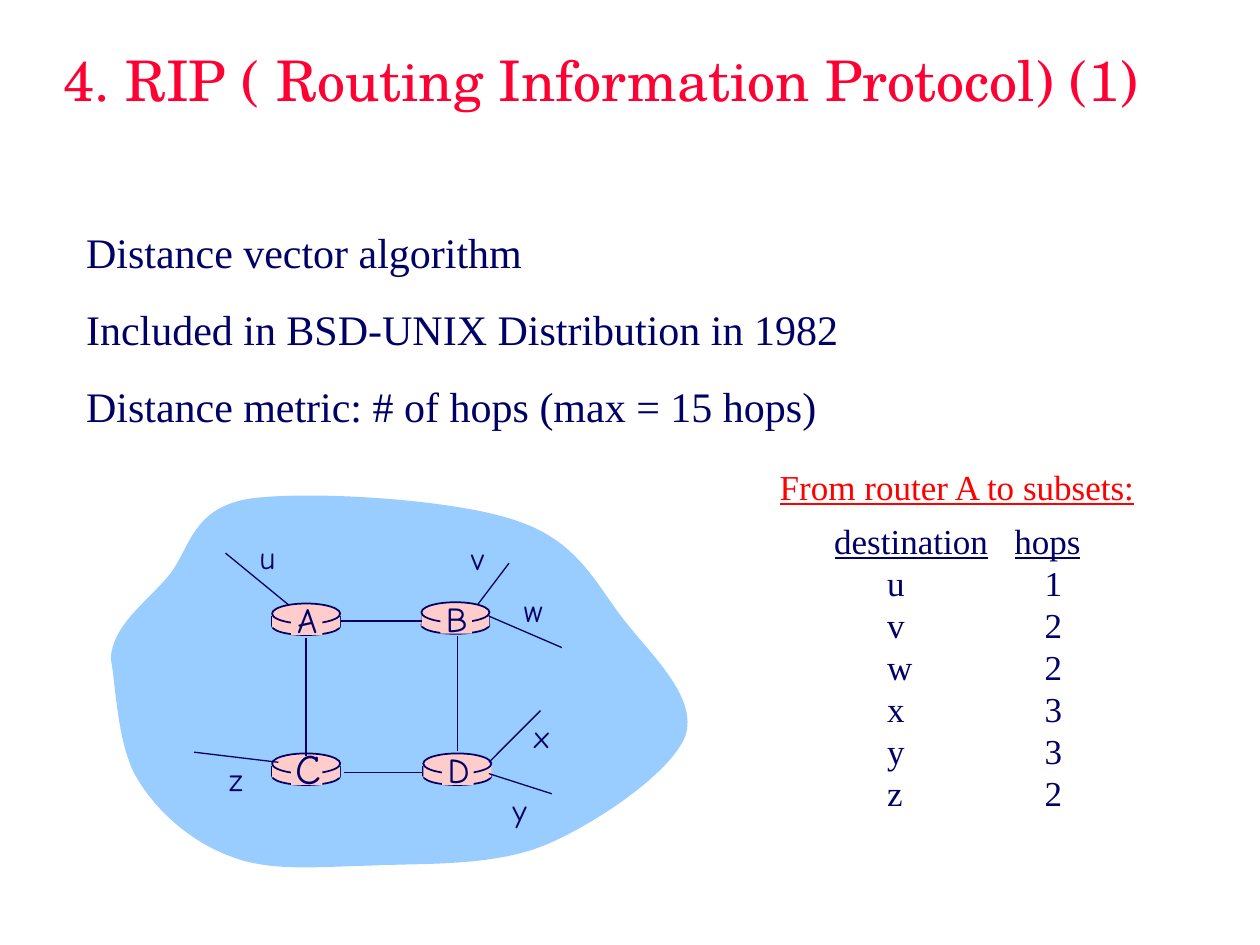
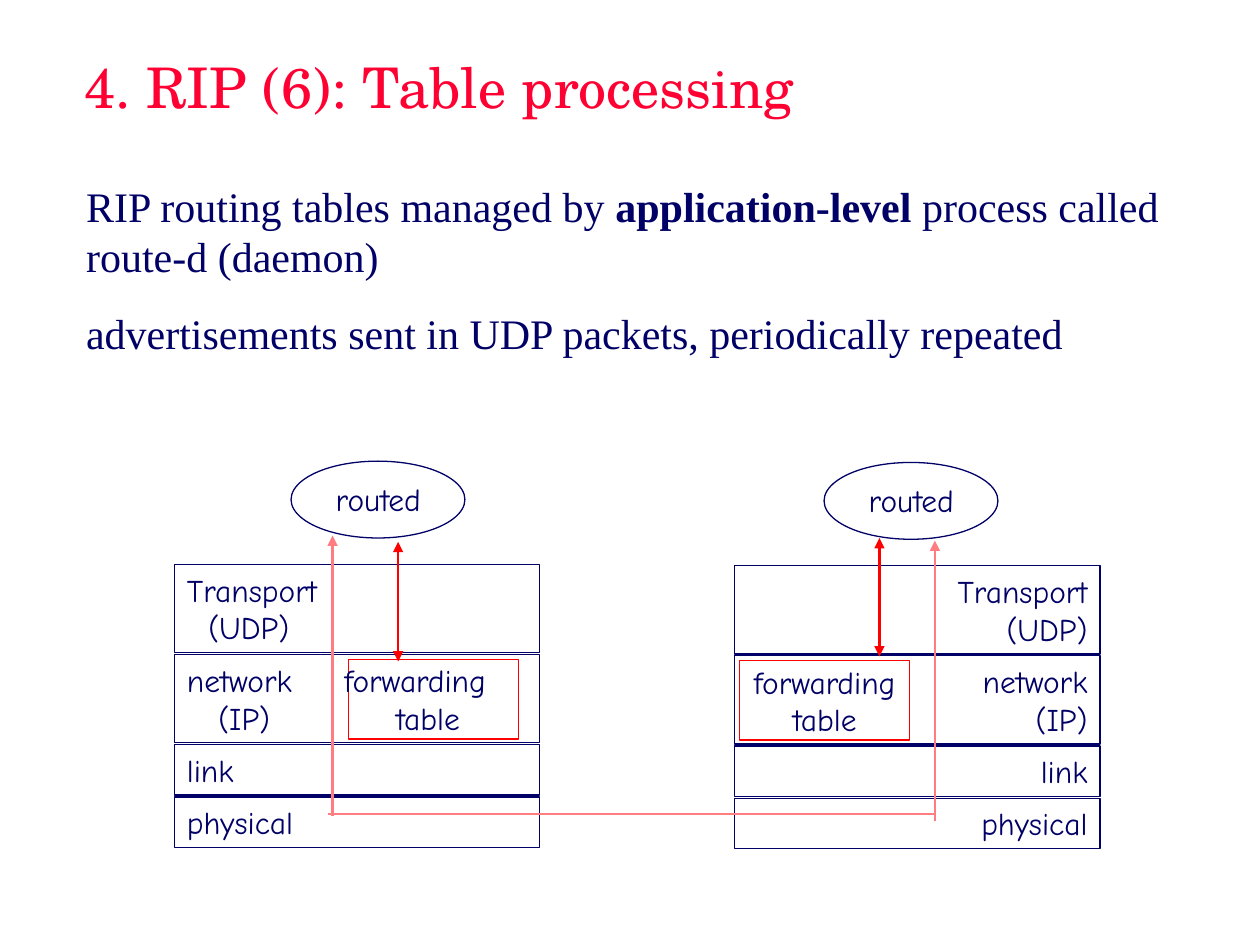
from lxml.etree import SubElement
from pptx import Presentation
from pptx.dml.color import RGBColor
from pptx.enum.shapes import MSO_CONNECTOR, MSO_SHAPE
from pptx.enum.text import MSO_ANCHOR, PP_ALIGN
from pptx.oxml.ns import qn
from pptx.util import Emu, Inches, Pt

NAVY = RGBColor(0x00, 0x00, 0x66)
CRIMSON = RGBColor(0xFF, 0x00, 0x33)
RED = RGBColor(0xFF, 0x00, 0x00)
SALMON = RGBColor(0xFF, 0x7C, 0x80)
PINK = RGBColor(0xFF, 0xCC, 0xCC)
SKY = RGBColor(0x99, 0xCC, 0xFF)
SERIF, HEADING, HAND = "Times New Roman", "TeX Gyre Schola", "Comic Neue"

# The slide is a grid of 100 columns by 75 rows of square cells.
COLUMNS, ROWS = 100, 75
CELL = Inches(10) / COLUMNS


def cells(*counts):
    """Turn counts of grid cells into lengths."""
    return [Emu(round(count * CELL)) for count in counts]


def write(frame, lines, font, size, color=NAVY, align=PP_ALIGN.LEFT,
          anchor=MSO_ANCHOR.TOP, wrap=True, before=0, underline=False):
    """Fill a frame with one paragraph per line; text between asterisks is bold."""
    frame.word_wrap = wrap
    frame.vertical_anchor = anchor
    for number, line in enumerate(lines):
        paragraph = frame.paragraphs[0] if number == 0 else frame.add_paragraph()
        paragraph.alignment = align
        paragraph.space_before = Pt(before)
        for part, words in enumerate(line.split("*")):
            run = paragraph.add_run()
            run.text = words
            run.font.name, run.font.size = font, Pt(size)
            run.font.color.rgb = color
            run.font.bold = part % 2 == 1
            run.font.underline = underline


deck = Presentation()
deck.slide_width, deck.slide_height = cells(COLUMNS, ROWS)

# Title and statements of each slide
pages = [
    ("4. RIP ( Routing Information Protocol) (1)", (4.05, 0, 89.4, 12.5),
     ["Distance vector algorithm",
      "Included in BSD-UNIX Distribution in 1982",
      "Distance metric: # of hops (max = 15 hops)"], (5.85, 17.5, 90, 18.5)),
    ("4. RIP (6): Table processing", (5.7, 0, 89.6, 13.7),
     ["RIP routing tables managed by *application-level* process called route-d (daemon)",
      "advertisements sent in UDP packets, periodically repeated"],
     (5.85, 13.8, 89.5, 52.8)),
]
slides = []
for title, title_area, statements, statement_area in pages:
    slide = deck.slides.add_slide(deck.slide_layouts[6])
    heading = slide.shapes.add_textbox(*cells(*title_area))
    write(heading.text_frame, [title], HEADING, 32, CRIMSON, anchor=MSO_ANCHOR.MIDDLE)
    body = slide.shapes.add_textbox(*cells(*statement_area))
    write(body.text_frame, statements, SERIF, 24, before=15)
    slides.append(slide)
overview, processing = slides

# Network cloud: Bezier curves, each given by two handles and an end point
CLOUD_LEFT, CLOUD_TOP, CLOUD_WIDTH, CLOUD_HEIGHT = 8.8, 38.9, 46.7, 30.3
cloud_start = (8.8, 52.3)
cloud_curves = [
    ((8.9, 49.7), (11.5, 47.9), (13.3, 45.8)),
    ((15.1, 43.7), (15.1, 40.4), (19.7, 39.6)),
    ((24.3, 38.9), (36, 39.6), (40.9, 41.3)),
    ((45.9, 42.9), (47.3, 46.4), (49.6, 49.3)),
    ((51.8, 52.1), (55.4, 55.4), (54.4, 58.4)),
    ((53.3, 61.3), (47.3, 65.4), (43.2, 67.1)),
    ((39, 68.8), (33.5, 68.5), (29.4, 68.7)),
    ((25.2, 68.8), (21.5, 69.2), (18.4, 68)),
    ((15.3, 66.9), (12.5, 64.5), (10.9, 61.8)),
    ((9.3, 59.2), (9.2, 54.3), (8.8, 52.3)),
]
builder = overview.shapes.build_freeform(*cells(*cloud_start))
builder.add_line_segments([cells(*curve[-1]) for curve in cloud_curves], close=True)
cloud = builder.convert_to_shape()
cloud.left, cloud.top, cloud.width, cloud.height = cells(
    CLOUD_LEFT, CLOUD_TOP, CLOUD_WIDTH, CLOUD_HEIGHT)
cloud.shadow.inherit = False
cloud.fill.solid()
cloud.fill.fore_color.rgb = SKY
cloud.line.fill.background()

# Turn the straight segments of the cloud into curves
outline = cloud._element.find(".//" + qn("a:path"))
outline.set("w", str(cloud.width))
outline.set("h", str(cloud.height))
segments = [outline.find(qn("a:moveTo"))] + outline.findall(qn("a:lnTo"))
for segment, points in zip(segments, [(cloud_start,)] + cloud_curves):
    for point in list(segment):
        segment.remove(point)
    if len(points) == 3:
        curve = SubElement(outline, qn("a:cubicBezTo"))
        outline.replace(segment, curve)
        segment = curve
    for x, y in points:
        across, down = cells(x - CLOUD_LEFT, y - CLOUD_TOP)
        SubElement(segment, qn("a:pt"), x=str(across), y=str(down))

# Lines of both slides: slide, start, end, colour, width, arrowed ends, shape in front
lines = []

# Routers: name, size, corner, visible sides
ROUTER_WIDTH = 5.4
routers = [("A", 20, (21.6, 47.9), 2), ("B", 20, (33.45, 47.8), 2),
           ("C", 24, (21.6, 59.8), 2), ("D", 20, (33.6, 59.8), 1)]
router_parts = [  # shape, offset and size, outlined
    (MSO_SHAPE.OVAL, (0, 1.1, ROUTER_WIDTH, 1.4), True),
    (MSO_SHAPE.RECTANGLE, (0, 1, ROUTER_WIDTH, 0.9), False),
    (MSO_SHAPE.OVAL, (0, 0, ROUTER_WIDTH, 1.6), True),
    (MSO_SHAPE.RECTANGLE, (1.5, 0.2, 2.5, 2.3), False),
]
for router, size, (left, top), sides in routers:
    parts = []
    for kind, (dx, dy, width, height), outlined in router_parts:
        part = overview.shapes.add_shape(kind, *cells(left + dx, top + dy, width, height))
        part.shadow.inherit = False
        part.fill.solid()
        part.fill.fore_color.rgb = PINK
        if outlined:
            part.line.color.rgb = NAVY
            part.line.width = Pt(1)
        else:
            part.line.fill.background()
        parts.append(part)
    for x in (left, left + ROUTER_WIDTH)[:sides]:
        lines.append((overview, (x, top + 1), (x, top + 1.8), NAVY, 1, (), parts[1]))
    rise = 1.4 if size == 24 else 0.9
    letter = overview.shapes.add_textbox(*cells(left + 0.9, top - rise, 3.8, size / 5 + 0.3))
    write(letter.text_frame, [router], HAND, size, align=PP_ALIGN.CENTER, wrap=False)

# Links between routers
links = [((36.3, 50.5), (36.3, 59.6)), ((24.3, 50.6), (24.3, 60)),
         ((33.6, 61.3), (27.3, 61.3)), ((33.5, 49.3), (27.1, 49.3))]
for start, end in links:
    lines.append((overview, start, end, NAVY, 1, (), None))

# Subnets: name, corner of the name, line from the router outwards
subnets = [
    ("u", (19.6, 42.2), (22.9, 48), (17.9, 43.9)),
    ("v", (36.4, 42.3), (37.9, 48), (40.4, 44.7)),
    ("w", (40.6, 46.4), (38.8, 48.9), (44.6, 51.4)),
    ("x", (41.4, 56.4), (38.8, 60.5), (42.9, 56.4)),
    ("y", (39.7, 62.3), (38.8, 61.4), (43.8, 63)),
    ("z", (17.2, 59.8), (22.1, 60.5), (15.4, 59.7)),
]
for subnet, corner, start, end in subnets:
    name = overview.shapes.add_textbox(*cells(*corner, 3.2, 4))
    write(name.text_frame, [subnet], HAND, 18, wrap=False)
    lines.append((overview, start, end, NAVY, 0.75, (), None))

# Hop counts from router A
hops = [("destination", "hops"), ("u", "1"), ("v", "2"), ("w", "2"),
        ("x", "3"), ("y", "3"), ("z", "2")]
ROW_HEIGHT = 3.33
hop_table = overview.shapes.add_table(
    len(hops), 2, *cells(66.2, 41.5, 20.5, ROW_HEIGHT * len(hops))).table
hop_table.first_row = hop_table.horz_banding = False
hop_table.columns[0].width, hop_table.columns[1].width = cells(14.3, 6.2)
for row, values in enumerate(hops):
    hop_table.rows[row].height = cells(ROW_HEIGHT)[0]
    for column, (value, indent) in enumerate(zip(values, (4.2, 2.4))):
        cell = hop_table.cell(row, column)
        cell.fill.background()
        cell.margin_left = cells(indent if row else 0)[0]
        cell.margin_right = cell.margin_top = cell.margin_bottom = 0
        write(cell.text_frame, [value], SERIF, 20, underline=row == 0)
caption = overview.shapes.add_textbox(*cells(60.9, 36.45, 30.4, 4.4))
write(caption.text_frame, ["From router A to subsets:"], SERIF, 20, RED,
      wrap=False, underline=True)

# Protocol stacks: height of each layer, its lines on the left and on the right
layers = [
    (7, ["Transport", "\t(UDP)"], ["Transport", "(UDP)"]),
    (7, ["network\tforwarding", "\t(IP)\ttable"], ["network", "(IP)"]),
    (4, ["link"], ["link"]),
    (4, ["physical"], ["physical"]),
]
tab_stops = {"\t(UDP)": [1.7], "network\tforwarding": [12.5], "\t(IP)\ttable": [2.5, 16.6]}
STACK_WIDTH, LAYER_GAP = 29, 0.15
stacks = [  # corner, alignment, daemon's left, forwarding table's left and lines
    ((13.85, 44.8), PP_ALIGN.LEFT, 23.1, 27.65, []),
    ((58.3, 44.9), PP_ALIGN.RIGHT, 65.4, 58.7, ["forwarding", "table"]),
]
for side, ((left, top), align, daemon_left, table_left, table_lines) in enumerate(stacks):
    daemon = processing.shapes.add_shape(
        MSO_SHAPE.OVAL, *cells(daemon_left, top - 8.2, 13.8, 6.1))
    routed = processing.shapes.add_textbox(*cells(daemon_left + 2.55, top - 7.2, 8.9, 4))
    write(routed.text_frame, ["routed"], HAND, 18, wrap=False)
    forwarding = processing.shapes.add_shape(
        MSO_SHAPE.RECTANGLE, *cells(table_left, top + 7.55, 13.5, 6.3))
    write(forwarding.text_frame, table_lines, HAND, 18,
          align=PP_ALIGN.CENTER, anchor=MSO_ANCHOR.MIDDLE, wrap=False)

    boxes = [(daemon, NAVY), (forwarding, RED)]
    for height, *texts in layers:
        layer = processing.shapes.add_shape(
            MSO_SHAPE.RECTANGLE, *cells(left, top, STACK_WIDTH, height))
        write(layer.text_frame, texts[side], HAND, 18, align=align)
        for paragraph, text in zip(layer.text_frame.paragraphs, texts[side]):
            if text in tab_stops:
                stops = SubElement(paragraph._p.get_or_add_pPr(), qn("a:tabLst"))
                for stop in cells(*tab_stops[text]):
                    SubElement(stops, qn("a:tab"), pos=str(stop), algn="l")
        boxes.append((layer, NAVY))
        top += height + LAYER_GAP

    for box, color in boxes:
        box.shadow.inherit = False
        box.fill.background()
        box.line.color.rgb = color
        box.line.width = Pt(0.75)

# Advertisements between the daemons, and table updates
lines += [
    (processing, (26.4, 64.8), (26.4, 42.5), SALMON, 1.5, ("tailEnd",), None),
    (processing, (74.2, 65.2), (74.2, 42.9), SALMON, 1.5, ("tailEnd",), None),
    (processing, (26, 64.6), (74.3, 64.6), SALMON, 1.5, (), None),
    (processing, (31.6, 43), (31.6, 52.5), RED, 1.5, ("headEnd", "tailEnd"), None),
    (processing, (69.8, 42.7), (69.8, 52.1), RED, 1.5, ("headEnd", "tailEnd"), None),
]
for slide, start, end, color, width, arrows, front in lines:
    connector = slide.shapes.add_connector(MSO_CONNECTOR.STRAIGHT, *cells(*start, *end))
    connector.line.color.rgb = color
    connector.line.width = Pt(width)
    for arrow in arrows:
        SubElement(connector.line._get_or_add_ln(), qn(f"a:{arrow}"), type="triangle")
    SubElement(connector._element.spPr, qn("a:effectLst"))
    if front is not None:
        front._element.addprevious(connector._element)

deck.save("out.pptx")
